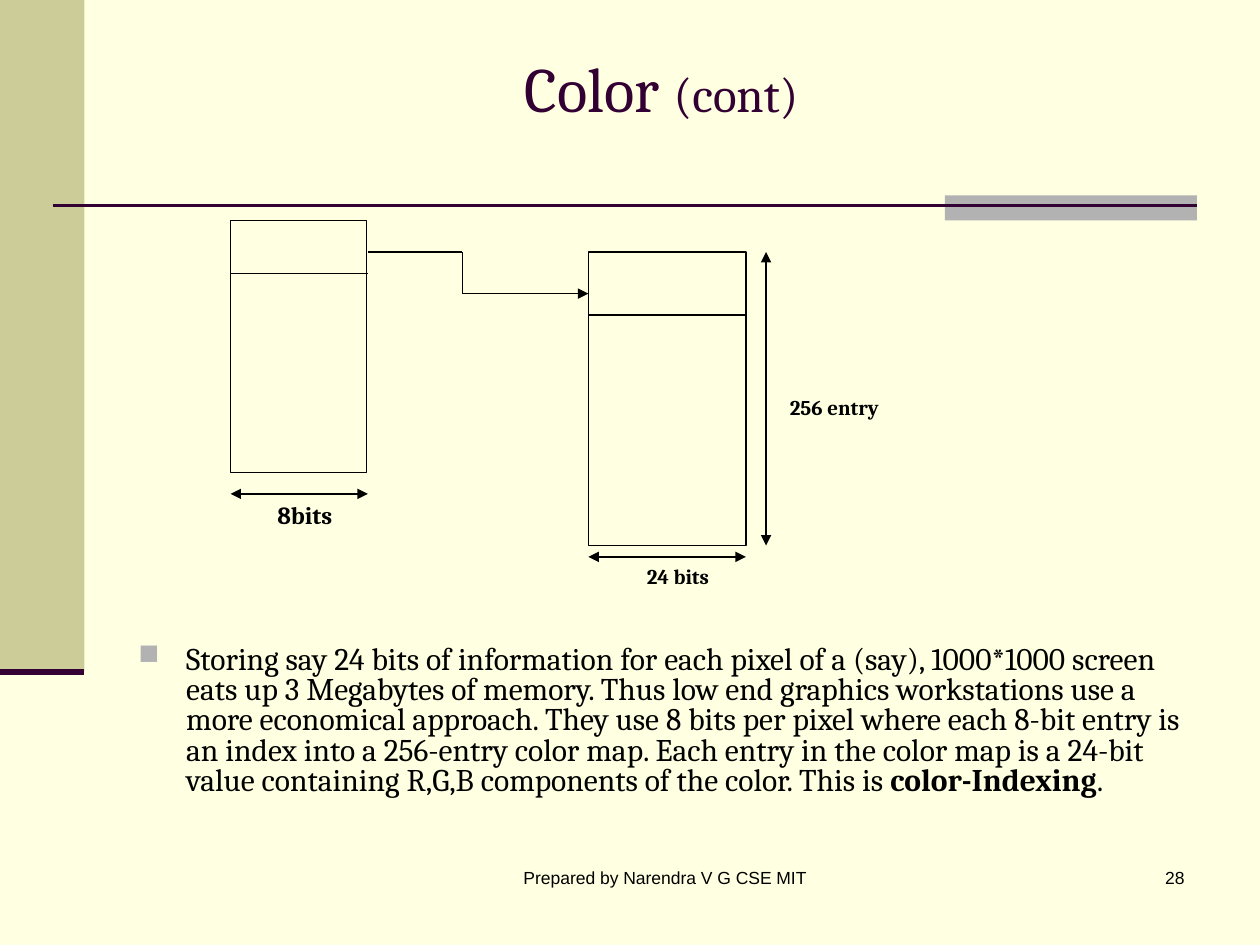
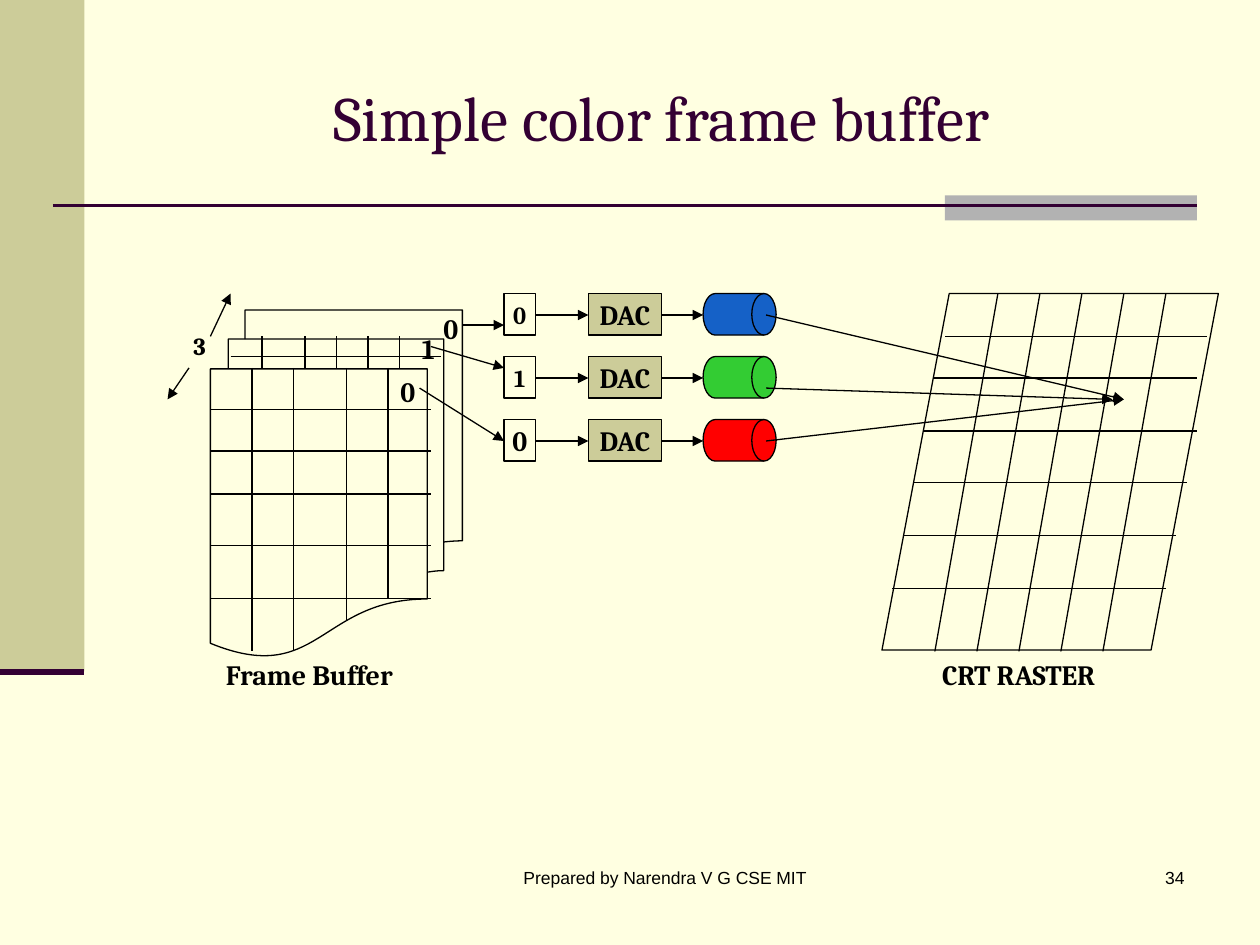
from lxml.etree import SubElement as Sub
from pptx import Presentation
from pptx.dml.color import RGBColor as RGB
from pptx.enum.shapes import MSO_CONNECTOR as Link, MSO_SHAPE as Kind
from pptx.enum.text import MSO_ANCHOR as Anchor, MSO_AUTO_SIZE as Fit, PP_ALIGN as Align
from pptx.oxml.ns import qn
from pptx.util import Inches, Pt


class Theme:
    paper, sand, gray, plum, ink = "FFFFE1", "CCCC99", "B2B2B2", "330033", "000000"
    serif, sans = "Cambria", "Arial"
    head, sub, body, big, mid, small, foot = 36, 28, 18, 16, 14, 12, 10
    thin, rule, thick = 0.75, 1.5, 3.5


# Content shared by both slides
FOOT = "Prepared by Narendra V G CSE MIT "

# Color map slide
COLOR = {
    "title": [("Color ", {}), ("(cont)", {"size": Theme.sub})],
    "box": (1, 0.3, 8.5, 0.78),
    "page": "28",
}
BODY = [
    ("Storing say 24 bits of information for each pixel of a (say), 1000*1000 screen "
     "eats up 3 Megabytes of memory. Thus low end graphics workstations use a more "
     "economical approach. They use 8 bits per pixel where each 8-bit entry is an index "
     "into a 256-entry color map. Each entry in the color map is a 24-bit value "
     "containing R,G,B components of the color. This is ", {}),
    ("color-Indexing", {"bold": True}),
    (".", {}),
]
TABLES = [(1.83, 1.75, 1.08, 2), (4.67, 2, 1.25, 2.33)]
SPLITS = [(1.83, 2.17, 2.92, 2.17), (4.67, 2.5, 5.92, 2.5)]
SPANS = [(1.83, 3.92, 2.92, 3.92), (4.67, 4.42, 5.92, 4.42), (6.08, 2, 6.08, 4.33)]
STEPS = [(2.92, 2), (3.67, 2), (3.67, 2.33), (4.67, 2.33)]
SIZES = [
    ("8bits", (1.92, 3.92, 1, 0.34), Theme.mid, Align.CENTER),
    ("24 bits", (4.67, 4.42, 1.42, 0.3), Theme.small, Align.CENTER),
    ("256 entry", (6.17, 3.08, 0.92, 0.5), Theme.small, Align.LEFT),
]

# Frame buffer slide
BUFFER = {
    "title": "Simple color frame buffer",
    "box": (1, 0.3, 8.5, 1.25),
    "page": "34",
}
# Each row: bit, bit size, gun colour, line from buffer to bit, start of beam, its end
ROWS = [
    ("0", Theme.mid, "1561C7", (3.67, 2.58, 4, 2.58), (6.08, 2.5), (8.92, 3.17)),
    ("1", Theme.mid, "33CC33", (3.42, 2.75, 4, 2.92), (6.08, 3.08), (8.83, 3.17)),
    ("0", Theme.big, "FF0000", (3.33, 3.08, 4, 3.5), (6.08, 3.5), (8.92, 3.17)),
]
PLANES = [("0", 3.08, 2.92, 0.33), ("1", 3.25, 2.58, 0.33), ("0", 3.42, 2.42, 0.25)]
DEPTH = [(1.67, 2.67, 1.83, 2.33), (1.5, 2.92, 1.33, 3.17)]
FRONT_Y = [3.25, 3.58, 3.92, 4.33, 4.75]
FRONT_X = [(2, 5.17), (2.33, 5.17), (2.75, 4.92), (3.08, 4.75)]
BACK_X = [2.08, 2.42, 2.67, 2.92, 3.17]
SCAN = [(2.67, 9.58), (3, 9.5), (3.42, 9.5), (3.83, 9.42), (4.25, 9.33), (4.67, 9.25)]
NAMES = [("Frame Buffer", (1.58, 5.17, 1.75, 0.37)),
         ("CRT RASTER", (6.92, 5.17, 2.33, 0.37))]


def write(shape, text, size=Theme.big, font=Theme.serif, color=Theme.ink, bold=False,
          align=Align.CENTER, anchor=Anchor.TOP, wrap=True, space=None, bullet=False):
    """Fill a shape with one paragraph; text is a string or (text, format) runs."""
    frame = shape.text_frame
    frame.word_wrap, frame.auto_size = wrap, Fit.NONE
    frame.vertical_anchor = anchor
    para = frame.paragraphs[0]
    para.alignment = align
    if space:
        para.line_spacing = space
    if bullet:
        props = para._p.get_or_add_pPr()
        props.set("marL", str(Inches(0.38)))
        props.set("indent", str(-Inches(0.38)))
        Sub(Sub(props, qn("a:buClr")), qn("a:srgbClr")).set("val", Theme.gray)
        Sub(props, qn("a:buSzPct")).set("val", "90000")
        Sub(props, qn("a:buChar")).set("char", "■")
    for part, own in [(text, {})] if isinstance(text, str) else text:
        run = para.add_run()
        run.text = part
        run.font.name = font
        run.font.size = Pt(own.get("size", size))
        run.font.bold = own.get("bold", bold)
        run.font.color.rgb = RGB.from_string(color)


def label(slide, text, box, **form):
    write(slide.shapes.add_textbox(*map(Inches, box)), text, **form)


def draw(slide, kind, box, fill=None, edge=Theme.ink):
    shape = slide.shapes.add_shape(kind, *map(Inches, box))
    shape.shadow.inherit = False
    if fill:
        shape.fill.solid()
        shape.fill.fore_color.rgb = RGB.from_string(fill)
    else:
        shape.fill.background()
    if edge:
        shape.line.color.rgb = RGB.from_string(edge)
        shape.line.width = Pt(Theme.thin)
    else:
        shape.line.fill.background()
    return shape


def line(slide, x1, y1, x2, y2, ends=(), color=Theme.ink, width=Theme.thin):
    link = slide.shapes.add_connector(Link.STRAIGHT, *map(Inches, (x1, y1, x2, y2)))
    link.line.color.rgb = RGB.from_string(color)
    link.line.width = Pt(width)
    props = link.element.spPr
    for end in ends:
        Sub(props.find(qn("a:ln")), qn(f"a:{end}End")).set("type", "triangle")
    Sub(props, qn("a:effectLst"))


def arrow(slide, *ends):
    line(slide, *ends, ends=["tail"])


def base(deck, title, box, page):
    """Add a slide with the bands, title and footer that all slides share."""
    slide = deck.slides.add_slide(deck.slide_layouts[5])
    draw(slide, Kind.RECTANGLE, (0, 0, 0.67, 5.33), Theme.sand, None)
    draw(slide, Kind.RECTANGLE, (7.5, 1.55, 2, 0.2), Theme.gray, None)
    line(slide, 0.42, 1.63, 9.5, 1.63, color=Theme.plum, width=Theme.rule)
    line(slide, 0, 5.33, 0.67, 5.33, color=Theme.plum, width=Theme.thick)
    head = slide.shapes.title
    head.left, head.top, head.width, head.height = map(Inches, box)
    write(head, title, size=Theme.head, color=Theme.plum, anchor=Anchor.MIDDLE)
    foot = {"size": Theme.foot, "font": Theme.sans}
    label(slide, page, (7.42, 6.83, 2.08, 0.5), align=Align.RIGHT, **foot)
    label(slide, FOOT, (3.67, 6.83, 3.25, 0.5), **foot)
    return slide


def color_map(deck):
    slide = base(deck, **COLOR)
    label(slide, BODY, (1, 5.08, 8.5, 1.62), size=Theme.body, align=Align.LEFT,
          space=0.8, bullet=True)
    # Pixel memory and color table
    for box in TABLES:
        draw(slide, Kind.RECTANGLE, box)
    for ends in SPLITS:
        line(slide, *ends)
    # Stepped path from pixel to table entry
    for a, b in zip(STEPS, STEPS[1:]):
        line(slide, *a, *b, ends=["tail"] if b == STEPS[-1] else ())
    # Measures
    for ends in SPANS:
        line(slide, *ends, ends=["head", "tail"])
    for text, box, size, align in SIZES:
        label(slide, text, box, size=size, align=align, bold=True)


def frame_buffer(deck):
    slide = base(deck, **BUFFER)
    # Stack of bit planes with its grid
    draw(slide, Kind.FLOWCHART_MULTIDOCUMENT, (1.67, 2.46, 2, 2.75))
    for y in FRONT_Y:
        line(slide, 1.67, y, 3.42, y)
    for x, low in FRONT_X:
        line(slide, x, 2.92, x, low)
    line(slide, 1.83, 2.83, 3.5, 2.83)
    for x in BACK_X:
        line(slide, x, 2.67, x, 2.92)
    label(slide, "3", (1.25, 2.58, 0.67, 0.34), size=Theme.mid, bold=True)
    for ends in DEPTH:
        arrow(slide, *ends)
    for bit, x, y, wide in PLANES:
        label(slide, bit, (x, y, wide, 0.37), bold=True, align=Align.LEFT)

    # Raster with slanted columns
    draw(slide, Kind.FLOWCHART_DATA, (7, 2.33, 2.67, 2.83))
    for i in range(5):
        x = 7.92 + i / 3
        line(slide, x, 2.33, x - 0.5, 5.17)
    for i, (y, right) in enumerate(SCAN):
        line(slide, 7.5 - i / 12, y, right, y)

    # One row per plane: bit, converter, gun, beam
    form = {"bold": True, "anchor": Anchor.MIDDLE, "wrap": False}
    for i, (bit, size, hue, feed, start, end) in enumerate(ROWS):
        top, mid = 2.33 + i / 2, 2.5 + i / 2
        write(draw(slide, Kind.RECTANGLE, (4, top, 0.25, 0.33)), bit, size=size, **form)
        write(draw(slide, Kind.RECTANGLE, (4.67, top, 0.58, 0.33), Theme.sand),
              "DAC", **form)
        draw(slide, Kind.FLOWCHART_DIRECT_ACCESS_STORAGE, (5.58, top, 0.58, 0.33), hue)
        arrow(slide, *feed)
        arrow(slide, 4.25, mid, 4.67, mid)
        arrow(slide, 5.25, mid, 5.58, mid)
        arrow(slide, *start, *end)
    for text, box in NAMES:
        label(slide, text, box, bold=True)


def main():
    deck = Presentation()
    deck.slide_width, deck.slide_height = Inches(10), Inches(7.5)
    back = deck.slide_master.background.fill
    back.solid()
    back.fore_color.rgb = RGB.from_string(Theme.paper)
    color_map(deck)
    frame_buffer(deck)
    deck.save("out.pptx")


if __name__ == "__main__":
    main()
